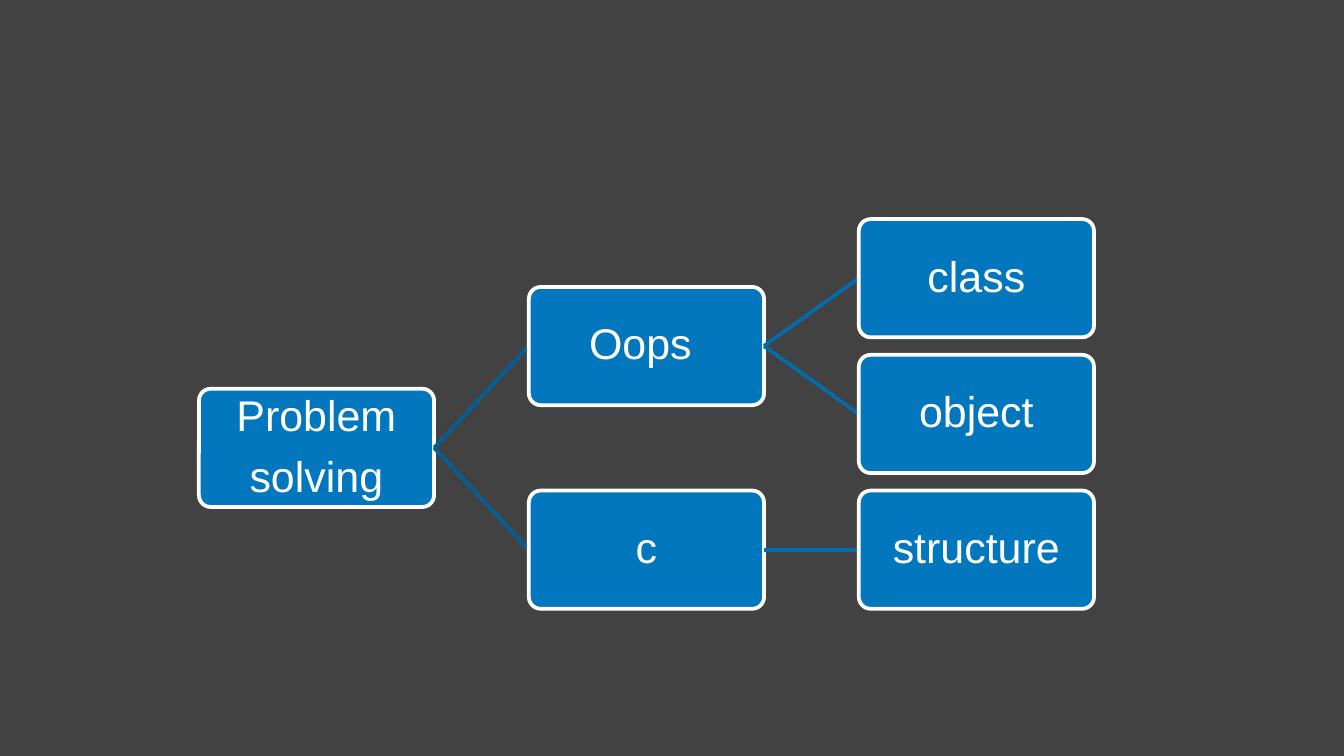
from lxml import etree
from pptx import Presentation
from pptx.dml.color import RGBColor
from pptx.enum.shapes import MSO_CONNECTOR, MSO_SHAPE
from pptx.enum.text import MSO_ANCHOR, PP_ALIGN
from pptx.oxml.ns import qn
from pptx.util import Inches, Pt

ROUNDED = MSO_SHAPE.ROUNDED_RECTANGLE
STRAIGHT = MSO_CONNECTOR.STRAIGHT
MIDDLE = MSO_ANCHOR.MIDDLE
CENTER = PP_ALIGN.CENTER

BACKGROUND = RGBColor(0x42, 0x42, 0x42)
BLUE = RGBColor(0x02, 0x77, 0xBD)
WHITE = RGBColor(0xFF, 0xFF, 0xFF)
# Branch colour by level, starting at the root
BRANCH_COLORS = [RGBColor(0x02, 0x5F, 0x97), RGBColor(0x02, 0x6C, 0xAC)]

LEFT_SITE, RIGHT_SITE = 1, 3

# Slide in 16:9
SLIDE_WIDTH = Inches(10)
SLIDE_HEIGHT = SLIDE_WIDTH * 9 // 16

# Grid: one column per level, one row per leaf
TREE_LEFT, TREE_TOP = 1.48, 1.63
LAST_COLUMN_LEFT = 6.39
COLUMN_STEP = (LAST_COLUMN_LEFT - TREE_LEFT) / 2
ROW_STEP = 1.01
BOX_WIDTH, BOX_HEIGHT = 1.75, 0.88

# Each topic is (lines of text, subtopics)
TOPICS = (["Problem", "solving"], [
    (["Oops "], [(["class"], []), (["object"], [])]),
    (["c"], [(["structure"], [])]),
])


def apply(target, formats):
    for name, value in formats.items():
        setattr(target, name, value)


def count_leaves(topic):
    return sum(map(count_leaves, topic[1])) or 1


def find_row(topic, first_row):
    """Row of a topic: halfway between its first and last subtopics."""
    rows = []
    for subtopic in topic[1]:
        rows.append(find_row(subtopic, first_row))
        first_row += count_leaves(subtopic)
    return (rows[0] + rows[-1]) / 2 if rows else first_row


class TopicSlide:
    FRAME = {"word_wrap": True, "vertical_anchor": MIDDLE,
             "margin_left": Inches(0.05), "margin_right": Inches(0.05),
             "margin_top": Inches(0.05), "margin_bottom": Inches(0.05)}
    PARAGRAPH = {"alignment": CENTER, "line_spacing": 0.9, "space_after": Pt(8)}
    FONT = {"name": "Arial", "size": Pt(23)}
    LINE_WIDTH = Pt(2)

    def __init__(self, slide):
        self.slide = slide
        slide.background.fill.solid()
        slide.background.fill.fore_color.rgb = BACKGROUND

    def style_line(self, line, color):
        line.color.rgb = color
        line.width = self.LINE_WIDTH

    def add_box(self, lines, left, top):
        box = self.slide.shapes.add_shape(
            ROUNDED, left, top, Inches(BOX_WIDTH), Inches(BOX_HEIGHT))
        box.adjustments[0] = 0.1
        box.shadow.inherit = False
        box.fill.solid()
        box.fill.fore_color.rgb = BLUE
        self.style_line(box.line, WHITE)
        frame = box.text_frame
        apply(frame, self.FRAME)
        frame.text = "\n".join(lines)
        for paragraph in frame.paragraphs:
            apply(paragraph, self.PARAGRAPH)
            apply(paragraph.font, self.FONT)
            paragraph.font.color.rgb = WHITE
        return box

    def add_branch(self, parent, left, middle, color):
        branch = self.slide.shapes.add_connector(
            STRAIGHT, parent.left + parent.width, parent.top, left, middle)
        branch.begin_connect(parent, RIGHT_SITE)
        self.style_line(branch.line, color)
        etree.SubElement(branch._element.spPr, qn("a:effectLst"))
        return branch

    def add_tree(self, topic, first_row=0, level=0, parent=None):
        lines, subtopics = topic
        left = Inches(TREE_LEFT + level * COLUMN_STEP)
        top = Inches(TREE_TOP + find_row(topic, first_row) * ROW_STEP)
        # The branch lies over its parent and under its subtopic
        branch = None
        if parent is not None:
            branch = self.add_branch(parent, left, top + Inches(BOX_HEIGHT / 2),
                                     BRANCH_COLORS[level - 1])
        box = self.add_box(lines, left, top)
        if branch is not None:
            branch.end_connect(box, LEFT_SITE)
        for subtopic in subtopics:
            self.add_tree(subtopic, first_row, level + 1, box)
            first_row += count_leaves(subtopic)


def main():
    presentation = Presentation()
    presentation.slide_width = SLIDE_WIDTH
    presentation.slide_height = SLIDE_HEIGHT
    blank_layout = presentation.slide_layouts[6]
    topic_slide = TopicSlide(presentation.slides.add_slide(blank_layout))
    topic_slide.add_tree(TOPICS)
    presentation.save("out.pptx")


if __name__ == "__main__":
    main()
